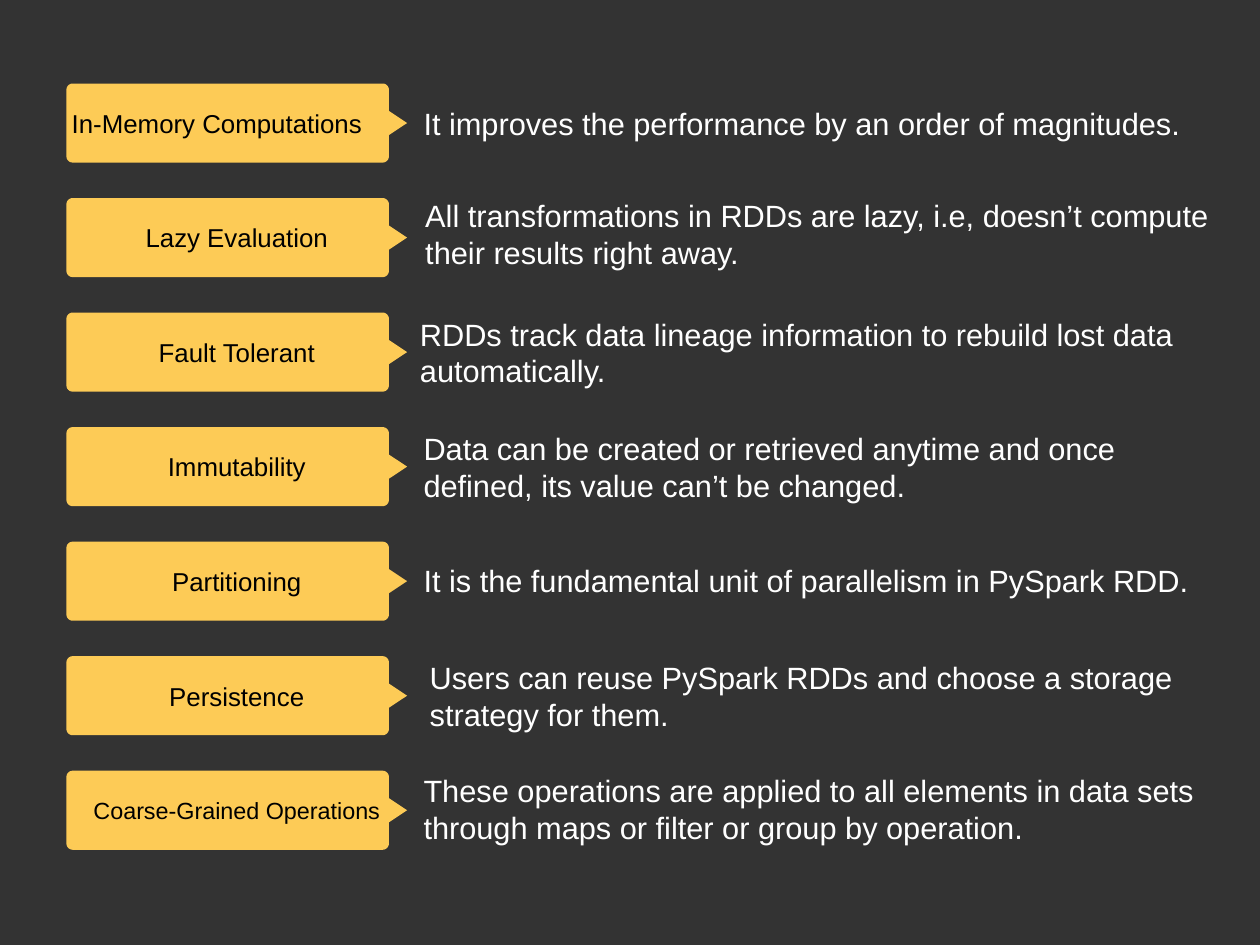
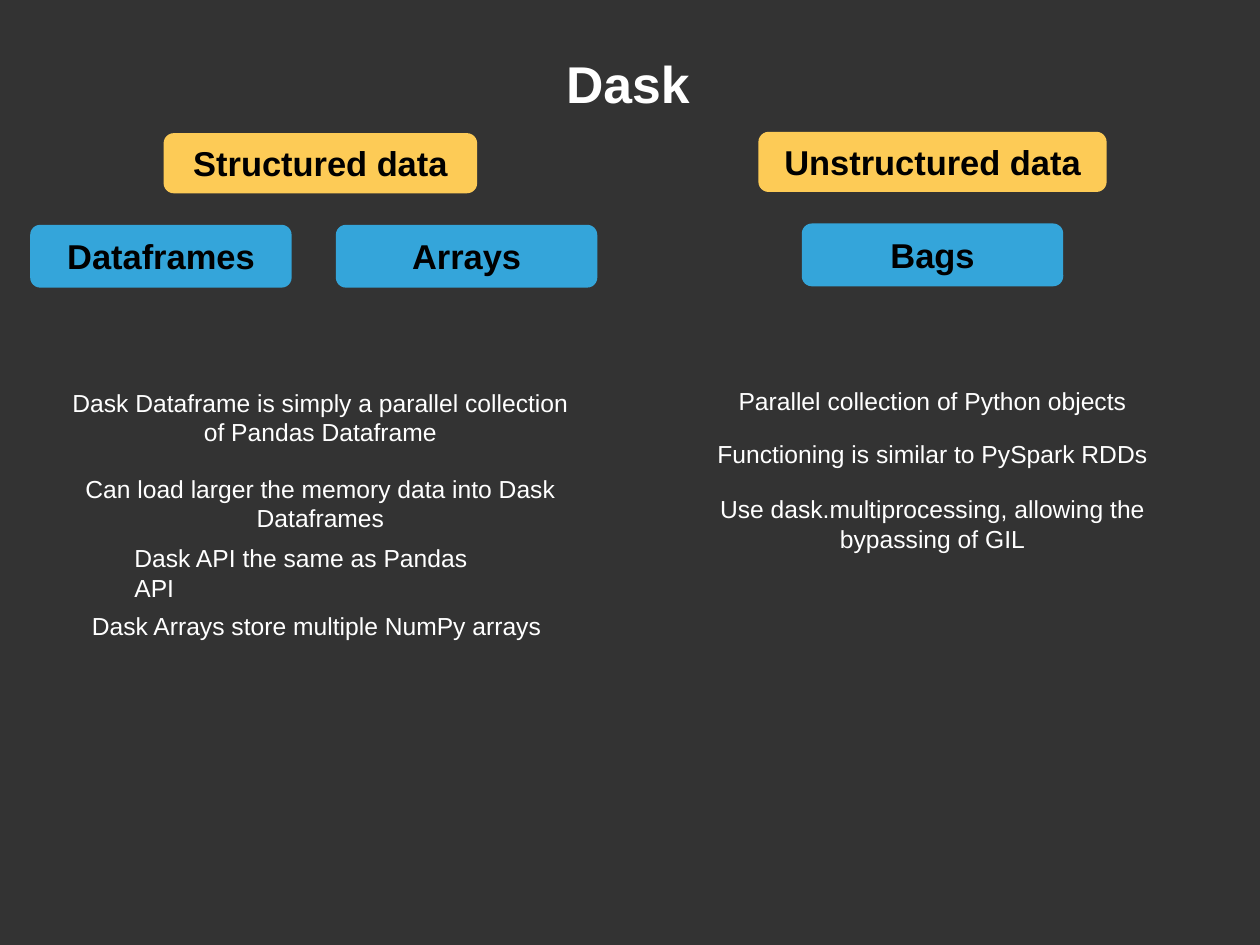
"""Build two dark slides: the features of PySpark RDDs and the collections of Dask."""
from dataclasses import dataclass
from math import cos, radians, sin

from pptx import Presentation
from pptx.dml.color import RGBColor
from pptx.enum.shapes import MSO_SHAPE
from pptx.enum.text import MSO_ANCHOR, PP_ALIGN
from pptx.util import Inches, Pt

ROUNDED = MSO_SHAPE.ROUNDED_RECTANGLE
MIDDLE = MSO_ANCHOR.MIDDLE
LEFT, CENTER = PP_ALIGN.LEFT, PP_ALIGN.CENTER


@dataclass(frozen=True)
class Theme:
    """Colours, font and type sizes of the deck."""
    background: RGBColor = RGBColor.from_string("333333")
    yellow: RGBColor = RGBColor.from_string("FDCB56")
    blue: RGBColor = RGBColor.from_string("34A5DA")
    light: RGBColor = RGBColor.from_string("FFFFFF")
    dark: RGBColor = RGBColor.from_string("000000")
    font: str = "Arial"
    title: int = 42
    tag: int = 28
    description: int = 25
    label: int = 21
    small_label: int = 19
    note: int = 20
    inset: float = 0.06


THEME = Theme()
deck = Presentation()
deck.slide_width, deck.slide_height = Inches(14.22), Inches(10.67)
COLUMN, ROW = deck.slide_width / 100, deck.slide_height / 100
background = deck.slide_master.background.fill
background.solid()
background.fore_color.rgb = THEME.background
blank = deck.slide_layouts[6]


def grid(left, top, width, height):
    """Turn columns and rows into lengths."""
    return [round(value) for value in
            (left * COLUMN, top * ROW, width * COLUMN, height * ROW)]


def write(box, text, size, color, align=LEFT, bold=False, fill=None):
    """Fill a box and set its one paragraph."""
    if fill is not None:
        box.shadow.inherit = False
        box.fill.solid()
        box.fill.fore_color.rgb = fill
        box.line.fill.background()
    frame = box.text_frame
    frame.word_wrap = True
    frame.vertical_anchor = MIDDLE
    frame.margin_left = frame.margin_right = Inches(THEME.inset)
    frame.margin_top = frame.margin_bottom = Inches(THEME.inset)
    para = frame.paragraphs[0]
    para.text = text
    para.alignment = align
    para.font.name = THEME.font
    para.font.size = Pt(size)
    para.font.bold = bold
    para.font.color.rgb = color


FEATURES = [
    ("In-Memory Computations", LEFT, THEME.label, 33.19, 0, 5.44,
     "It improves the performance by an order of magnitudes."),
    ("Lazy Evaluation", CENTER, THEME.label, 33.33, -0.45, 9.93,
     "All transformations in RDDs are lazy, i.e, doesn’t compute their results right away."),
    ("Fault Tolerant", CENTER, THEME.label, 32.91, 0, 9.93,
     "RDDs track data lineage information to rebuild lost data automatically."),
    ("Immutability", CENTER, THEME.label, 33.19, 0, 9.93,
     "Data can be created or retrieved anytime and once defined, its value can’t be changed."),
    ("Partitioning", CENTER, THEME.label, 33.19, -0.1, 5.44,
     "It is the fundamental unit of parallelism in PySpark RDD."),
    ("Persistence", CENTER, THEME.label, 33.68, 0, 9.93,
     "Users can reuse PySpark RDDs and choose a storage strategy for them."),
    ("Coarse-Grained Operations", CENTER, THEME.small_label, 33.19, -0.2, 9.93,
     "These operations are applied to all elements in data sets"
     " through maps or filter or group by operation."),
]
CARD_LEFT, CARD_RIGHT, TIP = 5.27, 30.87, 32.31
CARD_TOP, CARD_HEIGHT, CARD_PITCH = 8.84, 8.37, 12.12
RADIUS_X, RADIUS_Y, POINTER = 0.5, 0.67, 1.28

page = deck.slides.add_slide(blank)
for index, (label, align, size, left, shift, height, description) in enumerate(FEATURES):
    top = CARD_TOP + index * CARD_PITCH
    bottom, middle = top + CARD_HEIGHT, top + CARD_HEIGHT / 2
    west, east = CARD_LEFT + RADIUS_X, CARD_RIGHT - RADIUS_X
    north, south = top + RADIUS_Y, bottom - RADIUS_Y
    outline = [(TIP, middle), (CARD_RIGHT, middle + POINTER)]
    for x, y, start in ((east, south, 0), (west, south, 90), (west, north, 180), (east, north, 270)):
        outline += [(x + RADIUS_X * cos(radians(angle)), y + RADIUS_Y * sin(radians(angle)))
                    for angle in range(start, start + 91, 15)]
    outline.append((CARD_RIGHT, middle - POINTER))
    points = [(round(x * COLUMN), round(y * ROW)) for x, y in outline]
    builder = page.shapes.build_freeform(*points[0])
    builder.add_line_segments(points[1:], close=True)
    write(builder.convert_to_shape(), label, size, THEME.dark, align, fill=THEME.yellow)
    box = page.shapes.add_textbox(*grid(left, middle + shift - height / 2, 64.7, height))
    write(box, description, THEME.description, THEME.light)

HEADING_HEIGHT, KIND_HEIGHT, KIND_WIDTH, KIND_DROP = 6.37, 6.65, 20.75, 9.7
NOTES_TOP, NOTE_GAP, NOTE_PADDING, NOTE_LINE = 40.11, 1.03, 1.13, 3.47
SIDES = [
    (25.43, 14.09, "Structured data", 24.89, [("Dataframes", 12.77), ("Arrays", 37.03)], [
        ("Dask Dataframe is simply a parallel collection of Pandas Dataframe", 41.42, 2, CENTER),
        ("Can load larger the memory data into Dask Dataframes", 38.89, 2, CENTER),
        ("Dask API the same as Pandas API", 30.38, 1, LEFT),
        ("Dask Arrays store multiple NumPy arrays", 37.13, 1, LEFT),
    ]),
    (74.01, 13.95, "Unstructured data", 27.64, [("Bags", 74.01)], [
        ("Parallel collection of Python objects", 32.63, 1, CENTER),
        ("Functioning is similar to PySpark RDDs", 35.3, 1, CENTER),
        ("Use dask.multiprocessing, allowing the bypassing of GIL", 41.42, 2, CENTER),
    ]),
]

page = deck.slides.add_slide(blank)
title = page.shapes.add_textbox(*grid(44.51, 4.5, 10.76, 8.43))
write(title, "Dask", THEME.title, THEME.light, bold=True)
for center, top, heading, heading_width, kinds, notes in SIDES:
    tags = [(heading, center, top, heading_width, HEADING_HEIGHT, THEME.yellow, 0.17)]
    tags += [(kind, middle, top + KIND_DROP, KIND_WIDTH, KIND_HEIGHT, THEME.blue, 0.16)
             for kind, middle in kinds]
    for text, middle, tag_top, width, height, fill, rounding in tags:
        tag = page.shapes.add_shape(ROUNDED, *grid(middle - width / 2, tag_top, width, height))
        tag.adjustments[0] = rounding
        write(tag, text, THEME.tag, THEME.dark, CENTER, bold=True, fill=fill)
    note_top = NOTES_TOP
    for text, width, lines, align in notes:
        height = NOTE_PADDING + NOTE_LINE * lines
        box = page.shapes.add_textbox(*grid(center - width / 2, note_top, width, height))
        write(box, text, THEME.note, THEME.light, align)
        note_top += height + NOTE_GAP

deck.save("out.pptx")
